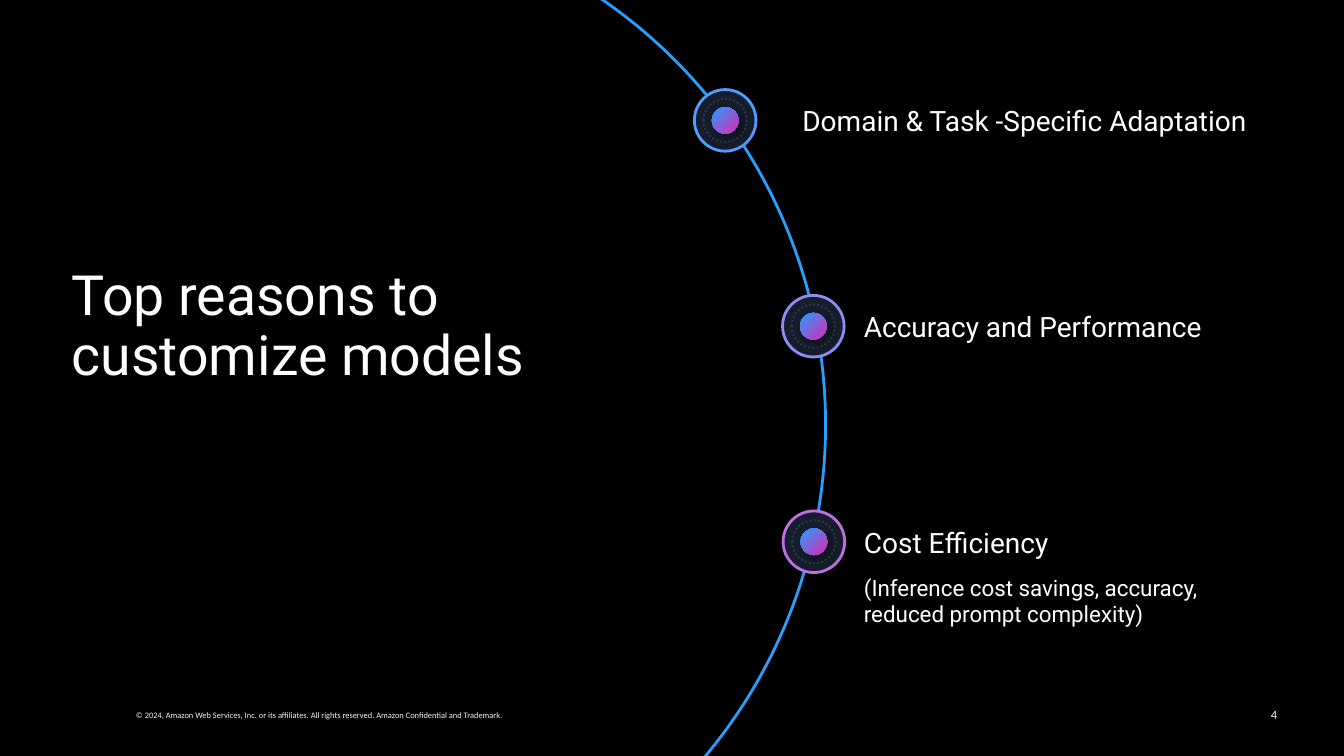
"""Build the slide on the top reasons to customize models."""
from lxml import etree
from pptx import Presentation
from pptx import util as u
from pptx.dml import color
from pptx.enum import dml, shapes, text
from pptx.oxml import ns

Pt = u.Pt


def rgb(value):
    return color.RGBColor.from_string(value)


class ReasonsSlide:
    heading_font, small_font = "Roboto", "Calibri"
    white, pale, black = "FFFFFF", "F3F3F7", "000000"
    navy, blue, magenta = "161E2D", "289EFF", "DB2BB6"
    badge_size, ring_size, core_size = 44, 31, 19

    def __init__(self, deck):
        self.slide = deck.slides.add_slide(deck.slide_layouts[5])
        self.slide.background.fill.solid()
        self.slide.background.fill.fore_color.rgb = rgb(self.black)

    def set_lines(self, frame, lines, font, ink, align=text.PP_ALIGN.LEFT):
        for index, (words, size) in enumerate(lines):
            paragraph = frame.add_paragraph() if index else frame.paragraphs[0]
            paragraph.text = words
            paragraph.alignment = align
            if index:
                paragraph.space_before = Pt(10.7)
            paragraph.font.name = font
            paragraph.font.size = Pt(size)
            paragraph.font.color.rgb = rgb(ink)

    def title(self, words, left, top, width, height):
        heading = self.slide.shapes.title
        heading.left, heading.top = Pt(left), Pt(top)
        heading.width, heading.height = Pt(width), Pt(height)
        frame = heading.text_frame
        frame.auto_size = text.MSO_AUTO_SIZE.NONE
        frame.vertical_anchor = text.MSO_ANCHOR.MIDDLE
        self.set_lines(frame, [(words, 39.6)], self.heading_font, self.white)
        frame.paragraphs[0].line_spacing = 0.9

    def text_frame(self, left, top, width, height):
        box = self.slide.shapes.add_textbox(Pt(left), Pt(top), Pt(width), Pt(height))
        box.text_frame.word_wrap = True
        return box.text_frame

    def label(self, lines, left, top, width, height):
        frame = self.text_frame(left, top, width, height)
        self.set_lines(frame, lines, self.heading_font, self.white)

    def copyright(self, words, left, top, width, height):
        frame = self.text_frame(left, top, width, height)
        frame.word_wrap = False
        frame.auto_size = text.MSO_AUTO_SIZE.SHAPE_TO_FIT_TEXT
        self.set_lines(frame, [(words, 6)], self.small_font, self.pale)

    def page_number(self, number, left, top, width, height):
        frame = self.text_frame(left, top, width, height)
        frame.vertical_anchor = text.MSO_ANCHOR.MIDDLE
        self.set_lines(frame, [(number, 9)], self.small_font, self.pale,
                       text.PP_ALIGN.RIGHT)

    def arc(self, left, top, size, start, end):
        curve = self.slide.shapes.add_shape(
            shapes.MSO_SHAPE.ARC, Pt(left), Pt(top), Pt(size), Pt(size))
        curve.adjustments[0], curve.adjustments[1] = start, end
        curve.shadow.inherit = False
        curve.fill.background()
        curve.line.color.rgb = rgb(self.blue)
        curve.line.width = Pt(2)

    def disc(self, group, center_x, center_y, size):
        circle = group.shapes.add_shape(
            shapes.MSO_SHAPE.OVAL, Pt(center_x - size / 2), Pt(center_y - size / 2),
            Pt(size), Pt(size))
        circle.shadow.inherit = False
        return circle

    def badge(self, center_x, center_y, edge):
        group = self.slide.shapes.add_group_shape()
        base = self.disc(group, center_x, center_y, self.badge_size)
        base.fill.solid()
        base.fill.fore_color.rgb = rgb(self.navy)
        base.line.color.rgb = rgb(edge)
        base.line.width = Pt(2)

        core = self.disc(group, center_x, center_y, self.core_size)
        core.line.fill.background()
        core.fill.gradient()
        core.fill.gradient_angle = 315
        for stop, shade in zip(core.fill.gradient_stops, (self.blue, self.magenta)):
            stop.color.rgb = rgb(shade)
        effects = core._element.spPr.find(ns.qn("a:effectLst"))
        shadow = etree.SubElement(
            effects, ns.qn("a:outerShdw"), blurRad=str(Pt(10)), dist=str(Pt(5)),
            dir="2700000", algn="tl", rotWithShape="0")
        shadow_color = etree.SubElement(shadow, ns.qn("a:srgbClr"), val=self.black)
        etree.SubElement(shadow_color, ns.qn("a:alpha"), val="50000")

        ring = self.disc(group, center_x, center_y, self.ring_size)
        ring.fill.background()
        ring.line.color.rgb = rgb(self.white)
        ring.line.width = Pt(1.5)
        ring.line.dash_style = dml.MSO_LINE.ROUND_DOT
        ring_color = ring._element.spPr.find(".//" + ns.qn("a:srgbClr"))
        etree.SubElement(ring_color, ns.qn("a:alpha"), val="10000")


def main():
    deck = Presentation()
    deck.slide_width, deck.slide_height = Pt(960), Pt(540)
    page = ReasonsSlide(deck)
    page.copyright("© 2024, Amazon Web Services, Inc. or its affiliates. All rights "
                   "reserved. Amazon Confidential and Trademark.", 90, 503.5, 310, 14.4)
    page.title("Top reasons to customize models", 44, 213, 428, 42.5)
    page.page_number("4", 703.5, 495.5, 216, 29)
    page.arc(-148.3, -65.5, 738, 180.993, 26.715)

    reasons = [
        (518, 86, "539BFD", 566, 361, 75,
         [("Domain & Task -Specific Adaptation", 20)]),
        (581, 233, "8D8DF4", 610, 335, 43,
         [("Accuracy and Performance", 20)]),
        (581.4, 387, "BE6FE1", 610, 281, 110,
         [("Cost Efficiency", 20),
          ("(Inference cost savings, accuracy, reduced prompt complexity)", 16)]),
    ]
    for center_x, center_y, edge, left, width, height, lines in reasons:
        page.badge(center_x, center_y, edge)
        page.label(lines, left, center_y - page.ring_size / 2, width, height)
    deck.save("out.pptx")


if __name__ == "__main__":
    main()
